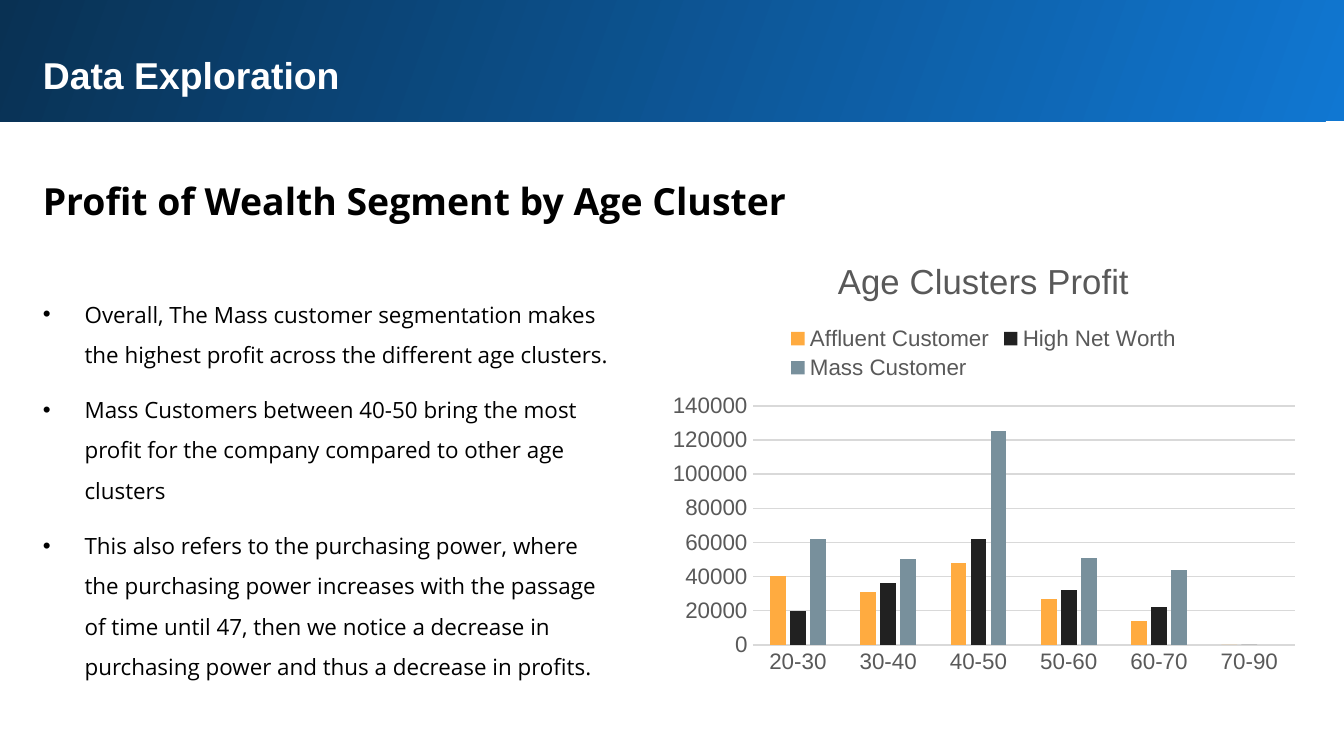
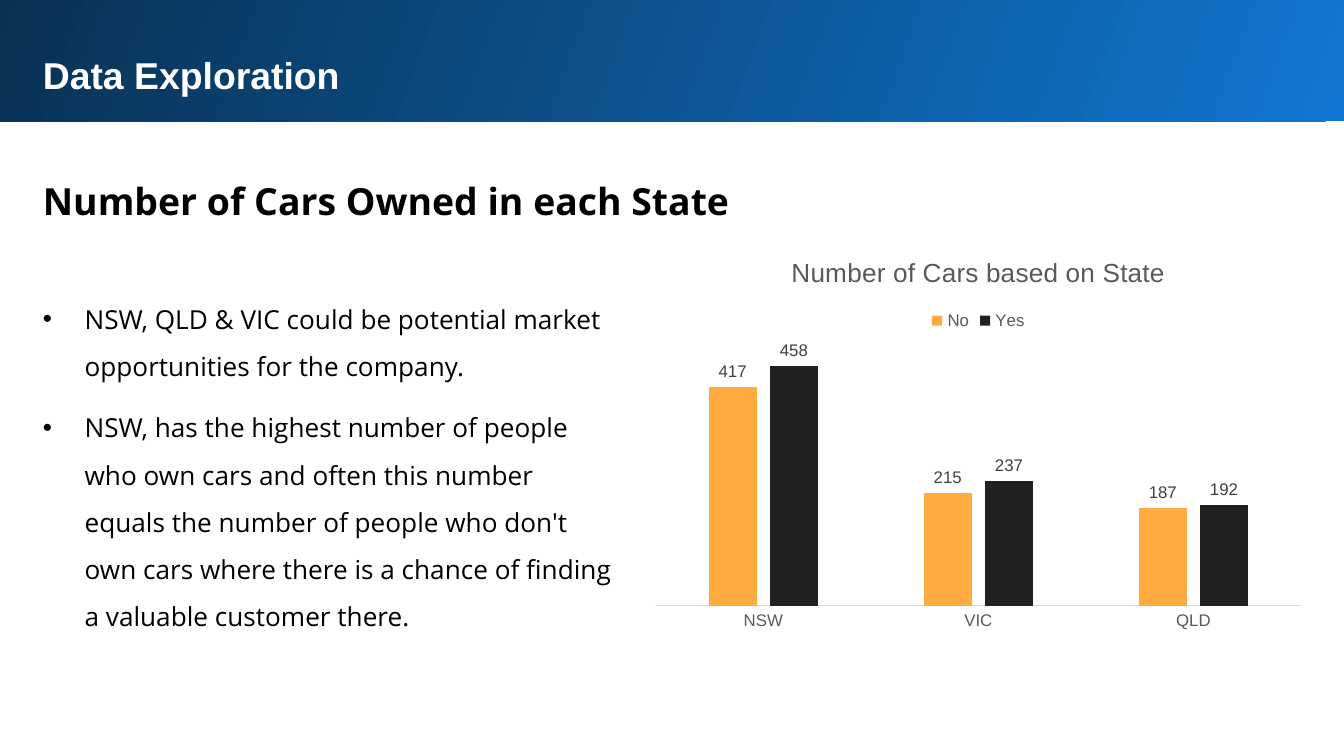
from lxml.etree import SubElement
from pptx import Presentation
from pptx.chart.data import CategoryChartData
from pptx.dml.color import RGBColor
from pptx.enum.chart import XL_CHART_TYPE as ChartType
from pptx.enum.chart import XL_LABEL_POSITION as LabelPosition
from pptx.enum.chart import XL_LEGEND_POSITION as LegendPosition
from pptx.enum.chart import XL_TICK_MARK as TickMark
from pptx.enum.shapes import MSO_SHAPE as ShapeType
from pptx.enum.text import MSO_AUTO_SIZE as AutoSize
from pptx.oxml.ns import qn
from pptx.util import Cm, Pt

HEADING_FONT = "Arial"
BODY_FONT = "Open Sans"
BLACK = "000000"
WHITE = "FFFFFF"
BAND_LIGHT = "1077D2"
BAND_DARK = "093153"
CHART_TEXT = "595959"
LABEL_TEXT = "404040"
GRID = "D9D9D9"
SERIES_COLORS = ["FFAB40", "212121", "78909C"]
LEFT = 0.56
FULL_WIDTH = 23.8
BULLET_INDENT = 0.79


def rgb(color):
    return RGBColor.from_string(color)


def style_font(font, name, size, color, bold=False):
    font.name = name
    font.size = Pt(size)
    font.color.rgb = rgb(color)
    font.bold = bold


def add_band(slide):
    band = slide.shapes.add_shape(
        ShapeType.RECTANGLE, Cm(-0.05), Cm(-0.05), Cm(25.53), Cm(2.34))
    band.shadow.inherit = False
    band.line.fill.background()
    band.fill.gradient()
    band.fill.gradient_angle = 160
    for stop, color in zip(band.fill.gradient_stops, (BAND_LIGHT, BAND_DARK)):
        stop.color.rgb = rgb(color)


def add_text(slide, texts, top, width, height, font, size, color,
             bold=False, spacing=1.0):
    shape = slide.shapes.add_textbox(Cm(LEFT), Cm(top), Cm(width), Cm(height))
    frame = shape.text_frame
    frame.word_wrap = True
    frame.auto_size = AutoSize.SHAPE_TO_FIT_TEXT
    frame.margin_left = frame.margin_right = Cm(0.25)
    frame.margin_top = frame.margin_bottom = Cm(0.25)
    frame.text = "\n".join(texts)
    for paragraph in frame.paragraphs:
        paragraph.line_spacing = spacing
        style_font(paragraph.font, font, size, color, bold)
    return frame


def add_bullets(slide, texts, height, size):
    frame = add_text(slide, texts, 5.18, 11.35, height, BODY_FONT, size,
                     BLACK, spacing=1.5)
    for paragraph in frame.paragraphs:
        paragraph.space_after = Pt(8)
        properties = paragraph._p.get_or_add_pPr()
        properties.set("marL", str(Cm(BULLET_INDENT)))
        properties.set("indent", str(-Cm(BULLET_INDENT)))
        bullet_font = properties.makeelement(
            qn("a:buFont"), {"typeface": HEADING_FONT})
        properties.find(qn("a:spcAft")).addnext(bullet_font)
        bullet = properties.makeelement(qn("a:buChar"), {"char": "•"})
        bullet_font.addnext(bullet)


def style_axis(axis, size):
    axis.major_tick_mark = axis.minor_tick_mark = TickMark.NONE
    style_font(axis.tick_labels.font, HEADING_FONT, size, CHART_TEXT)


def style_line(line):
    line.color.rgb = rgb(GRID)
    line.width = Pt(0.75)


def add_column_chart(slide, box, title, title_size, size, categories, series):
    data = CategoryChartData()
    data.categories = categories
    for name, values in series.items():
        data.add_series(name, values)
    chart = slide.shapes.add_chart(
        ChartType.COLUMN_CLUSTERED, *map(Cm, box), data).chart
    style_font(chart.font, HEADING_FONT, 10, BLACK)

    chart.has_title = True
    title_frame = chart.chart_title.text_frame
    title_frame.text = title
    style_font(title_frame.paragraphs[0].font, HEADING_FONT, title_size,
               CHART_TEXT)
    chart.has_legend = True
    chart.legend.position = LegendPosition.TOP
    chart.legend.include_in_layout = False
    style_font(chart.legend.font, HEADING_FONT, size, CHART_TEXT)

    style_axis(chart.category_axis, size)
    style_line(chart.category_axis.format.line)
    chart.value_axis.minimum_scale = 0

    plot = chart.plots[0]
    plot.gap_width = 219
    plot.overlap = -27
    plot.vary_by_categories = False
    for column, color in zip(plot.series, SERIES_COLORS):
        column.format.fill.solid()
        column.format.fill.fore_color.rgb = rgb(color)
    return chart


def show_value_axis(chart, size):
    axis = chart.value_axis
    style_axis(axis, size)
    axis.format.line.fill.background()
    style_line(axis.major_gridlines.format.line)


def show_data_labels(chart, size):
    chart.value_axis.visible = False
    chart.value_axis.has_major_gridlines = False
    for column in chart.plots[0].series:
        labels = column.data_labels
        labels.show_value = True
        labels.position = LabelPosition.OUTSIDE_END
        style_font(labels.font, HEADING_FONT, size, LABEL_TEXT)


def add_exploration_slide(presentation, heading):
    slide = presentation.slides.add_slide(presentation.slide_layouts[6])
    add_band(slide)
    add_text(slide, ["Data Exploration"], 0.74, FULL_WIDTH, 1.37,
             HEADING_FONT, 20, WHITE, bold=True)
    add_text(slide, [heading], 3, FULL_WIDTH, 1.42,
             BODY_FONT, 20, BLACK, bold=True, spacing=1.15)
    return slide


def add_profit_slide(presentation):
    slide = add_exploration_slide(
        presentation, "Profit of Wealth Segment by Age Cluster")
    add_bullets(slide, [
        "Overall, The Mass customer segmentation makes the highest profit "
        "across the different age clusters.",
        "Mass Customers between 40-50 bring the most profit for the company "
        "compared to other age clusters",
        "This also refers to the purchasing power, where the purchasing power "
        "increases with the passage of time until 47, then we notice a "
        "decrease in purchasing power and thus a decrease in profits.",
    ], 7.92, 12)
    chart = add_column_chart(
        slide, (12.47, 4.45, 12.24, 8.46), "Age Clusters Profit", 18.6, 12,
        ["20-30", "30-40", "40-50", "50-60", "60-70", "70-90"],
        {
            "Affluent Customer": [40000, 31000, 48000, 27000, 14000, 0],
            "High Net Worth": [20000, 36000, 62000, 32000, 22000, 0],
            "Mass Customer": [62000, 50000, 125000, 51000, 44000, None],
        })
    show_value_axis(chart, 12)


def add_cars_slide(presentation):
    slide = add_exploration_slide(
        presentation, "Number of Cars Owned in each State")
    add_bullets(slide, [
        "NSW, QLD & VIC could be potential market opportunities for the "
        "company.",
        "NSW, has the highest number of people who own cars and often this "
        "number equals the number of people who don't own cars where there "
        "is a chance of finding a valuable customer there.",
    ], 6.99, 14)
    chart = add_column_chart(
        slide, (12.14, 4.45, 12.7, 7.62), "Number of Cars based on State",
        14, 9, ["NSW", "VIC", "QLD"],
        {"No": [417, 215, 187], "Yes": [458, 237, 192]})
    show_data_labels(chart, 9)


def main():
    presentation = Presentation()
    presentation.slide_width = Cm(25.4)
    presentation.slide_height = Cm(14.29)
    add_profit_slide(presentation)
    add_cars_slide(presentation)
    presentation.save("out.pptx")


if __name__ == "__main__":
    main()
